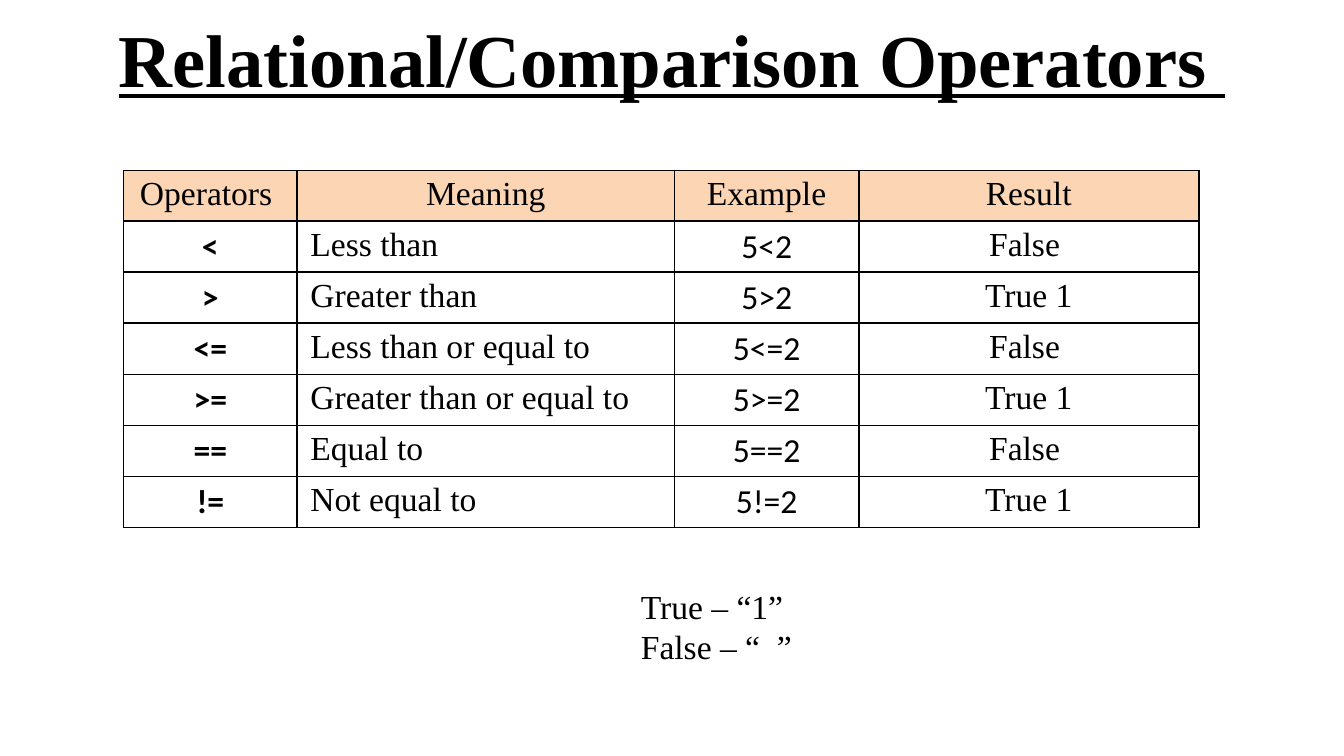
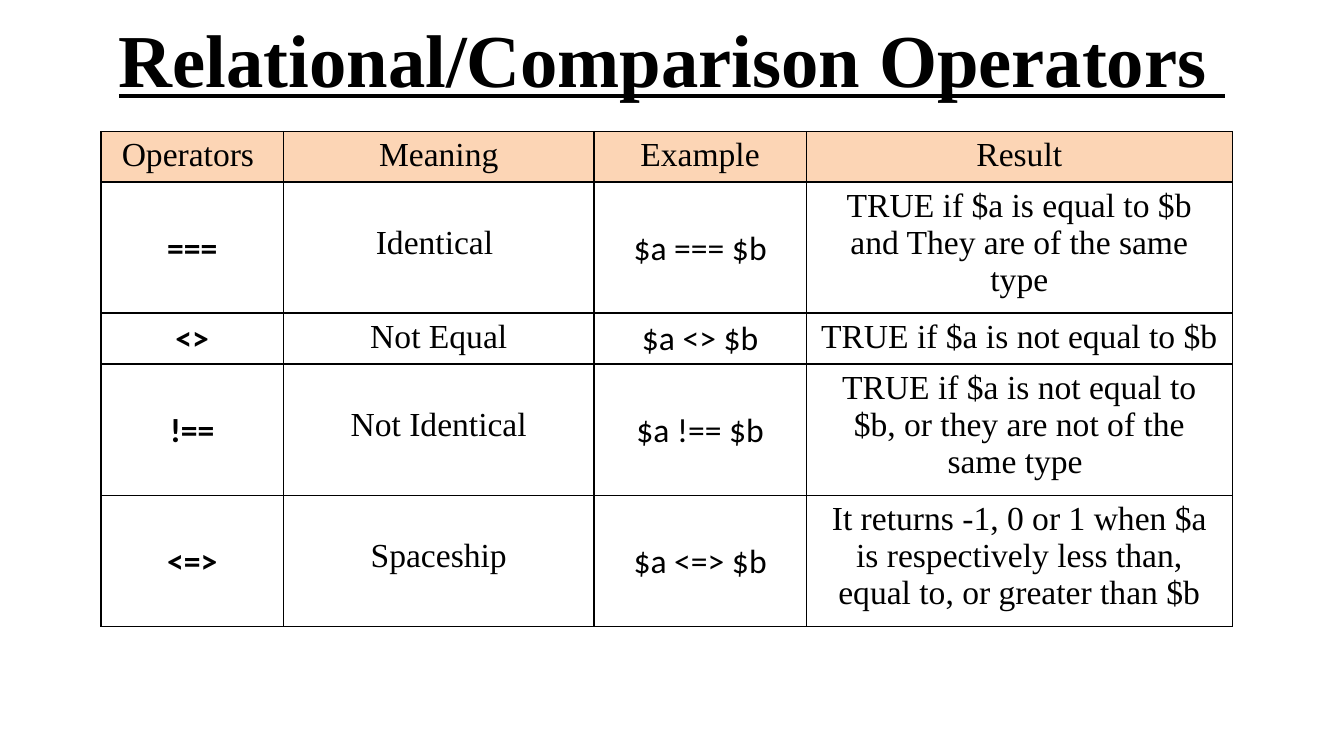
from dataclasses import dataclass
from typing import Optional

from lxml import etree
from pptx import Presentation
from pptx import util as u
from pptx.dml.color import RGBColor
from pptx.enum import text
from pptx.oxml.ns import qn

# Shared look
BLACK = RGBColor(0x00, 0x00, 0x00)
PEACH = RGBColor(0xFC, 0xD5, 0xB5)
SERIF = "Times New Roman"
SANS = "Calibri"
TITLE = "Relational/Comparison Operators "
HEADINGS = ("Operators ", "Meaning", "Example", "Result")
CENTER = text.PP_ALIGN.CENTER
LEFT = text.PP_ALIGN.LEFT

# Grid: 100 columns by 56.25 rows of square units
SLIDE_WIDTH = u.Inches(10)
SLIDE_HEIGHT = u.Inches(5.625)
UNIT = SLIDE_WIDTH / 100

# Table metrics
BODY_SIZE = 18
CELL_INSET = u.Pt(2.7)
LINE_HEIGHT = {SERIF: u.Pt(20), SANS: u.Pt(22)}
HEADER_ROWS = 3.5
SINGLE_ROWS = 3.8
TRIPLE_ROWS = 9.05


@dataclass(frozen=True)
class Style:
    font: str = SERIF
    size: float = BODY_SIZE
    bold: bool = False
    underline: bool = False
    align: text.PP_ALIGN = CENTER


@dataclass(frozen=True)
class Operator:
    symbol: str
    meaning: str
    example: str
    result: str
    tall: bool = False


@dataclass(frozen=True)
class OperatorTable:
    left: float
    top: float
    columns: tuple[float, ...]
    operators: tuple[Operator, ...]
    meaning_align: text.PP_ALIGN = CENTER


def grid(units: float) -> u.Emu:
    return u.Emu(round(units * UNIT))


def write(paragraph, words: str, style: Style) -> None:
    paragraph.alignment = style.align
    run = paragraph.add_run()
    run.text = words
    run.font.name = style.font
    run.font.size = u.Pt(style.size)
    run.font.bold = style.bold
    run.font.underline = style.underline
    run.font.color.rgb = BLACK


def add_title(slide) -> None:
    box = slide.shapes.add_textbox(grid(5), grid(-0.4), grid(90), grid(9.4))
    frame = box.text_frame
    frame.word_wrap = True
    frame.vertical_anchor = text.MSO_ANCHOR.MIDDLE
    write(frame.paragraphs[0], TITLE, Style(size=40, bold=True, underline=True))


def add_borders(cell) -> None:
    properties = cell._tc.get_or_add_tcPr()
    for position, side in enumerate(("lnL", "lnR", "lnT", "lnB")):
        line = etree.Element(qn(f"a:{side}"), w=str(u.Pt(1)))
        fill = etree.SubElement(line, qn("a:solidFill"))
        etree.SubElement(fill, qn("a:srgbClr"), val=str(BLACK))
        properties.insert(position, line)


def fill_cell(cell, words: str, style: Style, color: Optional[RGBColor] = None,
              lowered: bool = False) -> None:
    cell.margin_left = cell.margin_right = grid(1)
    cell.margin_top = cell.margin_bottom = CELL_INSET
    if lowered:  # start on the second line of a three-line row
        cell.margin_top = CELL_INSET + LINE_HEIGHT[style.font]
    if color is None:
        cell.fill.background()
    else:
        cell.fill.solid()
        cell.fill.fore_color.rgb = color
    add_borders(cell)
    write(cell.text_frame.paragraphs[0], words, style)


def add_operator_table(slide, content: OperatorTable) -> None:
    heights = [HEADER_ROWS] + [TRIPLE_ROWS if operator.tall else SINGLE_ROWS
                               for operator in content.operators]
    frame = slide.shapes.add_table(
        len(heights), len(content.columns), grid(content.left), grid(content.top),
        grid(sum(content.columns)), grid(sum(heights)))
    table = frame.table
    table.first_row = table.horz_banding = False
    for column, width in zip(table.columns, content.columns):
        column.width = grid(width)
    for row, height in zip(table.rows, heights):
        row.height = grid(height)

    for index, heading in enumerate(HEADINGS):
        fill_cell(table.cell(0, index), heading, Style(), PEACH)
    styles = (Style(SANS, bold=True), Style(align=content.meaning_align),
              Style(SANS), Style())
    for row_index, operator in enumerate(content.operators, start=1):
        words = (operator.symbol, operator.meaning, operator.example, operator.result)
        for index, (entry, style) in enumerate(zip(words, styles)):
            lowered = operator.tall and entry != operator.result
            fill_cell(table.cell(row_index, index), entry, style, lowered=lowered)


def add_truth_note(slide) -> None:
    box = slide.shapes.add_textbox(grid(46.7), grid(43.1), grid(13.4), grid(7.1))
    frame = box.text_frame
    frame.word_wrap = False
    frame.auto_size = text.MSO_AUTO_SIZE.SHAPE_TO_FIT_TEXT
    write(frame.paragraphs[0], "True – “1”", Style(align=LEFT))
    write(frame.add_paragraph(), "False – “  ”", Style(align=LEFT))


COMPARISONS = OperatorTable(9.2, 12.7, (12.9, 28.1, 13.7, 25.3), (
    Operator("<", "Less than", "5<2", "False "),
    Operator(">", "Greater than", "5>2", "True 1"),
    Operator("<=", "Less than or equal to", "5<=2", "False "),
    Operator(">=", "Greater than or equal to", "5>=2", "True 1"),
    Operator("==", "Equal to", "5==2", "False "),
    Operator("!=", "Not equal to", "5!=2", "True 1"),
), LEFT)

IDENTITIES = OperatorTable(7.5, 9.8, (13.6, 23.1, 15.8, 31.7), (
    Operator("===", "Identical ", "$a === $b",
             "TRUE if $a is equal to $b and They are of the same type", True),
    Operator("<>", "Not Equal", "$a <> $b", "TRUE if $a is not equal to $b"),
    Operator("!==", "Not Identical", "$a !== $b",
             "TRUE if $a is not equal to $b, or they are not of the same type ", True),
    Operator("<=>", "Spaceship", "$a <=> $b",
             "It returns -1, 0 or 1 when $a is respectively less than, "
             "equal to, or greater than $b", True),
))


def main() -> None:
    presentation = Presentation()
    presentation.slide_width = SLIDE_WIDTH
    presentation.slide_height = SLIDE_HEIGHT
    for content in (COMPARISONS, IDENTITIES):
        slide = presentation.slides.add_slide(presentation.slide_layouts[6])
        add_title(slide)
        add_operator_table(slide, content)
        if content is COMPARISONS:
            add_truth_note(slide)
    presentation.save("out.pptx")


if __name__ == "__main__":
    main()
